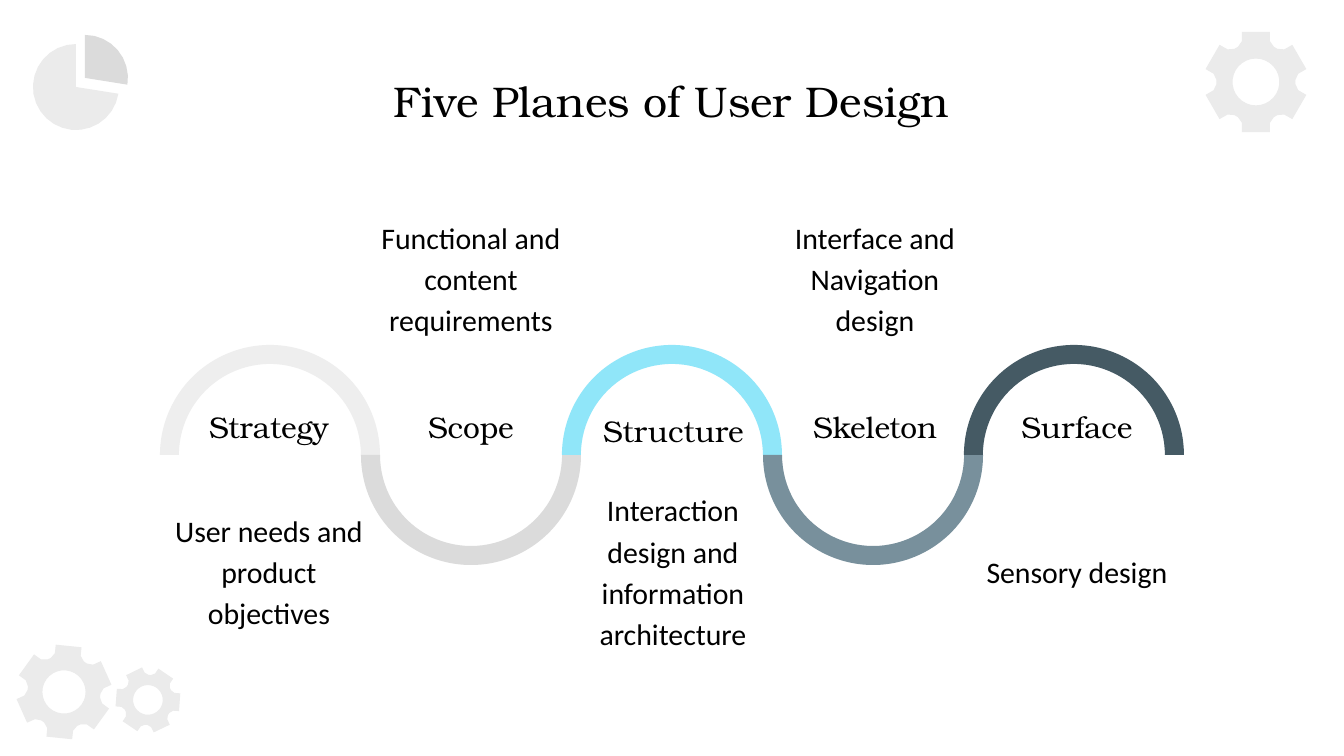
import dataclasses
import math
from typing import NamedTuple

import pptx
import pptx.dml.color
import pptx.enum.shapes
import pptx.enum.text
import pptx.shapes.autoshape
import pptx.slide
import pptx.text.text
import pptx.util

EMU_PER_PX = 914400 / 134.4


@dataclasses.dataclass(frozen=True)
class Theme:
    heading_font: str = "TeX Gyre Bonum"
    body_font: str = "Calibri"
    title_size: int = 23
    text_size: int = 16
    ink: str = "000000"
    pale: str = "EBEBEB"
    grey: str = "DBDBDB"
    wave: tuple[str, ...] = ("EEEEEE", "DBDBDB", "90E6F9", "78909C", "455A64")


class Box(NamedTuple):
    left: int
    top: int
    width: int
    height: int


class Point(NamedTuple):
    x: float
    y: float


@dataclasses.dataclass(frozen=True)
class Plane:
    name: str
    caption: str
    name_top: int = 394
    name_width: int = 176


@dataclasses.dataclass(frozen=True)
class Gear:
    center: Point
    radius: int
    tilt: float = 0


THEME = Theme()
Contour = list[Point]

PLANES = (
    Plane("Strategy", "User needs and product objectives"),
    Plane("Scope", "Functional and content requirements"),
    Plane("Structure", "Interaction design and information architecture", 398, 203),
    Plane("Skeleton", "Interface and Navigation design"),
    Plane("Surface", "Sensory design"),
)
GEARS = (
    Gear(Point(64, 692), 48, 5.8),
    Gear(Point(148, 700), 33, 34.2),
    Gear(Point(1256, 82), 52),
)
TEETH = 6
TOOTH_PROFILE = ((-15.6, 1), (15.6, 1), (19, 0.83), (27, 0.76), (33, 0.76), (41, 0.83))
GEAR_HOLE = 0.45
ARC_STEP = 12

WAVE_CENTER = Point(672, 455)
WAVE_PITCH = 201
WAVE_OUTER, WAVE_INNER = 110, 91
TEXT_CENTER, TEXT_PITCH = 673, 202
NAME_HEIGHT = 66
CAPTION_WIDTH, CAPTION_HEIGHT = 214, 90
CAPTION_ABOVE, CAPTION_BELOW = 231, 524
INSET = 13


def px(length: float) -> int:
    return round(length * EMU_PER_PX)


def color(value: str) -> pptx.dml.color.RGBColor:
    return pptx.dml.color.RGBColor.from_string(value)


def paint(shape: pptx.shapes.autoshape.Shape, fill: str) -> pptx.shapes.autoshape.Shape:
    shape.fill.solid()
    shape.fill.fore_color.rgb = color(fill)
    shape.line.fill.background()
    shape.shadow.inherit = False
    return shape


def polar(center: Point, radius: float, degrees: float) -> Point:
    angle = math.radians(degrees)
    return Point(center.x + radius * math.sin(angle), center.y - radius * math.cos(angle))


def arc(center: Point, radius: float, start: int, end: int) -> Contour:
    steps = abs(end - start) // ARC_STEP
    return [polar(center, radius, start + (end - start) * i / steps) for i in range(steps + 1)]


def draw_outline(
    slide: pptx.slide.Slide, fill: str, *contours: Contour
) -> pptx.shapes.autoshape.Shape:
    first, *holes = [[(px(x), px(y)) for x, y in contour] for contour in contours]
    builder = slide.shapes.build_freeform(*first[0], scale=1.0)
    builder.add_line_segments(first[1:], close=True)
    for hole in holes:
        builder.move_to(*hole[0])
        builder.add_line_segments(hole[1:], close=True)
    return paint(builder.convert_to_shape(), fill)


def draw_gear(slide: pptx.slide.Slide, gear: Gear) -> None:
    rim = [
        polar(gear.center, gear.radius * reach, 360 / TEETH * tooth + angle)
        for tooth in range(TEETH)
        for angle, reach in TOOTH_PROFILE
    ]
    hole = arc(gear.center, gear.radius * GEAR_HOLE, 360, 0)
    draw_outline(slide, THEME.pale, rim, hole).rotation = gear.tilt


def draw_pie(slide: pptx.slide.Slide) -> None:
    body, slice_tip = Point(76, 87), Point(85, 78)
    slide.shapes.add_group_shape([
        draw_outline(slide, THEME.pale, [body, *arc(body, 43, 99, 360)]),
        draw_outline(slide, THEME.grey, [slice_tip, *arc(slice_tip, 43, 0, 99)]),
    ])


def draw_wave(slide: pptx.slide.Slide) -> None:
    arches = []
    size = 2 * WAVE_OUTER
    for i, fill in enumerate(THEME.wave):
        left = WAVE_CENTER.x + (i - 2) * WAVE_PITCH - WAVE_OUTER
        box = Box(left, WAVE_CENTER.y - WAVE_OUTER, size, size)
        arch = slide.shapes.add_shape(pptx.enum.shapes.MSO_SHAPE.BLOCK_ARC, *map(px, box))
        arch.adjustments[2] = (WAVE_OUTER - WAVE_INNER) / size
        arch.rotation = 180 * (i % 2)
        arches.append(paint(arch, fill))
    slide.shapes.add_group_shape(arches)


def write(
    frame: pptx.text.text.TextFrame, text: str, font: str, size: int, spacing: float = 1.0
) -> None:
    frame_format = {
        "word_wrap": True,
        "auto_size": pptx.enum.text.MSO_AUTO_SIZE.NONE,
        "vertical_anchor": pptx.enum.text.MSO_ANCHOR.MIDDLE,
        **{f"margin_{side}": px(INSET) for side in ("left", "top", "right", "bottom")},
    }
    paragraph_format = {
        "text": text,
        "alignment": pptx.enum.text.PP_ALIGN.CENTER,
        "line_spacing": spacing,
    }
    font_format = {"name": font, "size": pptx.util.Pt(size)}
    paragraph = frame.paragraphs[0]
    for target, values in (
        (frame, frame_format),
        (paragraph, paragraph_format),
        (paragraph.font, font_format),
    ):
        for attribute, value in values.items():
            setattr(target, attribute, value)
    paragraph.font.color.rgb = color(THEME.ink)


def draw_title(slide: pptx.slide.Slide, text: str, box: Box) -> None:
    heading = slide.shapes.title
    for side, length in box._asdict().items():
        setattr(heading, side, px(length))
    write(heading.text_frame, text, THEME.heading_font, THEME.title_size)


def draw_text(slide: pptx.slide.Slide, text: str, box: Box, font: str, spacing: float) -> None:
    label = slide.shapes.add_textbox(*map(px, box))
    write(label.text_frame, text, font, THEME.text_size, spacing)


def draw_plane(slide: pptx.slide.Slide, index: int, plane: Plane) -> None:
    center = TEXT_CENTER + (index - 2) * TEXT_PITCH
    name_box = Box(center - plane.name_width // 2, plane.name_top, plane.name_width, NAME_HEIGHT)
    caption_top = CAPTION_ABOVE if index % 2 else CAPTION_BELOW
    caption_box = Box(center - CAPTION_WIDTH // 2, caption_top, CAPTION_WIDTH, CAPTION_HEIGHT)
    draw_text(slide, plane.name, name_box, THEME.heading_font, 1.0)
    draw_text(slide, plane.caption, caption_box, THEME.body_font, 1.15)


def main() -> None:
    deck = pptx.Presentation()
    deck.slide_width, deck.slide_height = px(1344), px(756)
    slide = deck.slides.add_slide(deck.slide_layouts.get_by_name("Title Only"))
    for gear in GEARS:
        draw_gear(slide, gear)
    draw_pie(slide)
    draw_wave(slide)
    draw_title(slide, "Five Planes of User Design", Box(105, 81, 1134, 38))
    for index, plane in enumerate(PLANES):
        draw_plane(slide, index, plane)
    deck.save("out.pptx")


if __name__ == "__main__":
    main()
